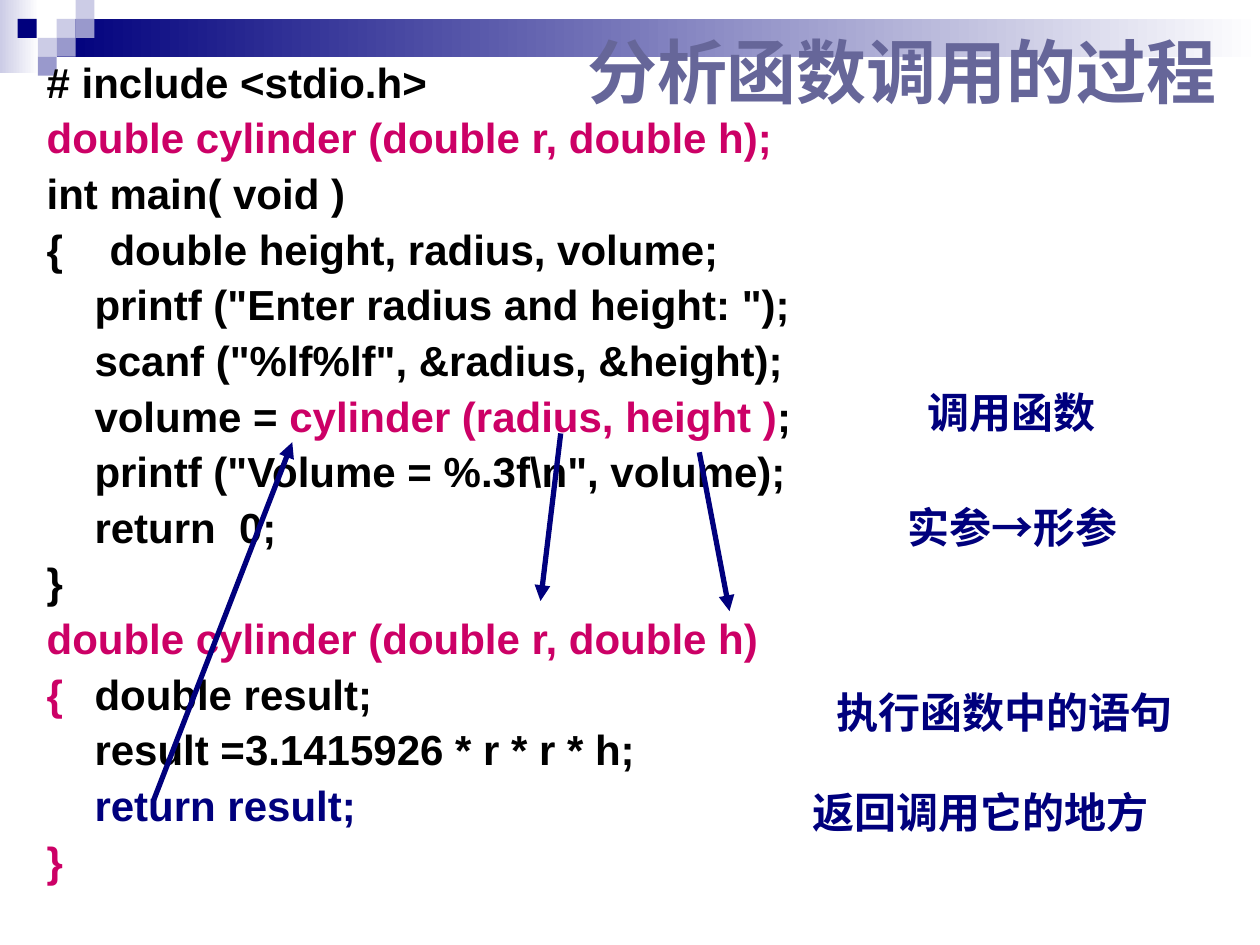
from pptx import Presentation
from pptx.dml.color import RGBColor as RGB
from pptx.enum.shapes import MSO_CONNECTOR as CONN, MSO_SHAPE as SHAPE
from pptx.enum.text import MSO_ANCHOR as ANCHOR, MSO_AUTO_SIZE as FIT, PP_ALIGN as ALIGN
from pptx.oxml.ns import qn
from pptx.util import Inches, Pt
from lxml.etree import SubElement

HUES = {"navy": "00007D", "mid": "9999CC", "pale": "CCCCE6", "white": "FFFFFF",
        "title": "666699", "pink": "CC0066", "black": "000000"}


def hue(name):
    return RGB.from_string(HUES[name])


def add_run(para, text, size, color):
    run = para.add_run()
    run.text = text
    font = run.font
    font.name, font.size, font.bold = "Arial", Pt(size), True
    font.color.rgb = hue(color)


deck = Presentation()
deck.slide_width, deck.slide_height = Inches(10), Inches(7.5)
slide = deck.slides.add_slide(deck.slide_layouts[1])
shapes = slide.shapes
title, body = slide.placeholders

# Banner: two fading bars, then a cluster of small squares
SIDE = 0.15
bars = [(0, 0, 0.31, 0.58, "pale"), (0.45, 0.15, 9.55, 0.3, "navy")]
tiles = [(0.45, 0.15, "pale"), (0.6, 0, "pale"), (0.6, 0.15, "mid"),
         (0.3, 0.3, "pale"), (0.14, 0.15, "navy"), (0.45, 0.3, "mid"),
         (0.3, 0.45, "mid")]
for x, y, w, h, color in bars + [(x, y, SIDE, SIDE, c) for x, y, c in tiles]:
    block = shapes.add_shape(SHAPE.RECTANGLE, Inches(x), Inches(y), Inches(w), Inches(h))
    block.shadow.inherit = False
    block.line.fill.background()
    if w > SIDE:
        block.fill.gradient()
        block.fill.gradient_angle = 0
        for stop, shade in zip(block.fill.gradient_stops, (color, "white")):
            stop.color.rgb = hue(shade)
    else:
        block.fill.solid()
        block.fill.fore_color.rgb = hue(color)

# Title and code sit in front of the banner
tree = title.element.getparent()
for holder, (x, y, w, h) in ((title, (4.56, 0, 5.44, 1.12)),
                             (body, (0.27, 0.44, 6.69, 6.82))):
    tree.append(holder.element)
    holder.left, holder.top = Inches(x), Inches(y)
    holder.width, holder.height = Inches(w), Inches(h)
    holder.text_frame.auto_size = FIT.NONE
    holder.text_frame.word_wrap = True

title.text_frame.vertical_anchor = ANCHOR.MIDDLE
head = title.text_frame.paragraphs[0]
head.alignment = ALIGN.LEFT
add_run(head, "分析函数调用的过程", 40, "title")

# Code listing: each line is a list of (text, color) runs
code = [
    [("# include <stdio.h>", "black")],
    [("double cylinder (double r, double h);", "pink")],
    [("int main( void )", "black")],
    [("{    double height, radius, volume;", "black")],
    [('\tprintf ("Enter radius and height: ");', "black")],
    [('\tscanf ("%lf%lf", &radius, &height);', "black")],
    [("\tvolume =", "black"), (" cylinder (radius, height )", "pink"), (";", "black")],
    [('\tprintf ("Volume = %.3f\\n", volume);', "black")],
    [("\treturn  0;", "black")],
    [("}", "black")],
    [("double cylinder (double r, double h)", "pink")],
    [("{", "pink"), ("\tdouble result;", "black")],
    [("\tresult =3.1415926 * r * r * h;", "black")],
    [("\treturn result;", "navy")],
    [("}", "pink")],
]
frame = body.text_frame
for i, runs in enumerate(code):
    para = frame.add_paragraph() if i else frame.paragraphs[0]
    para.line_spacing, para.space_before = 0.9, Pt(5.9)
    props = para._p.get_or_add_pPr()
    props.set("marL", str(Inches(0.38)))
    props.set("indent", str(Inches(-0.38)))
    SubElement(props, qn("a:buNone"))
    for text, color in runs:
        add_run(para, text, 24, color)

# Step labels
steps = [("调用函数", 7.26, 3.02, 1.54), ("实参→形参", 7.1, 3.93, 1.87),
         ("执行函数中的语句", 6.53, 5.4, 2.88), ("返回调用它的地方", 6.34, 6.19, 2.88)]
for text, x, y, w in steps:
    label = shapes.add_textbox(Inches(x), Inches(y), Inches(w), Inches(0.5))
    label.text_frame.word_wrap = False
    label.text_frame.auto_size = FIT.SHAPE_TO_FIT_TEXT
    para = label.text_frame.paragraphs[0]
    para.alignment = ALIGN.CENTER
    add_run(para, text, 24, "navy")

# Arrows: arguments to parameters, then the result back to the call
arrows = [(4.45, 3.44, 4.29, 4.77), (5.55, 3.59, 5.79, 4.85), (1.22, 6.35, 2.32, 3.51)]
for ends in arrows:
    arrow = shapes.add_connector(CONN.STRAIGHT, *map(Inches, ends))
    arrow.line.color.rgb = hue("navy")
    arrow.line.width = Pt(3)
    SubElement(arrow.line._get_or_add_ln(), qn("a:tailEnd"), type="triangle")
    SubElement(arrow.element.spPr, qn("a:effectLst"))

deck.save("out.pptx")
